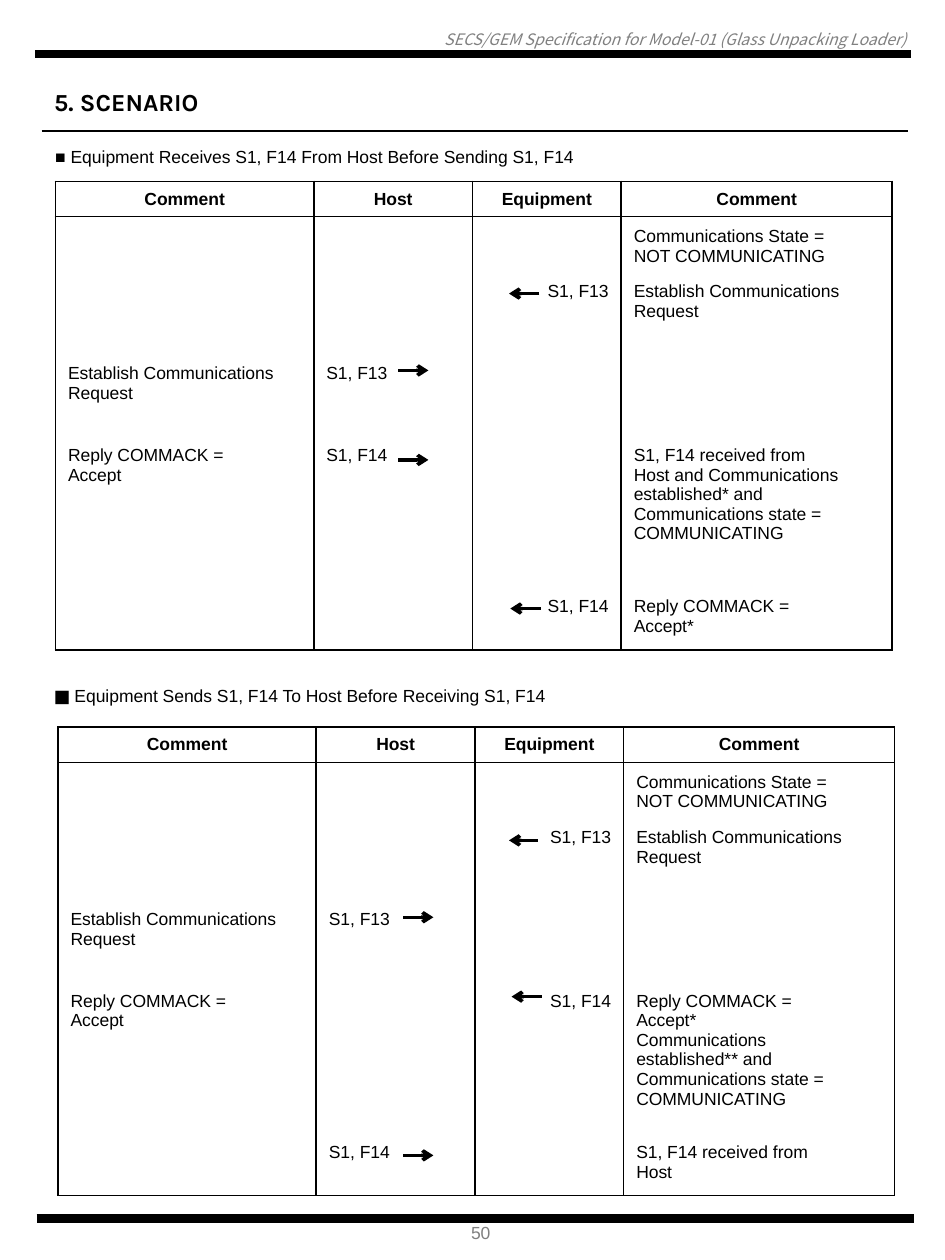
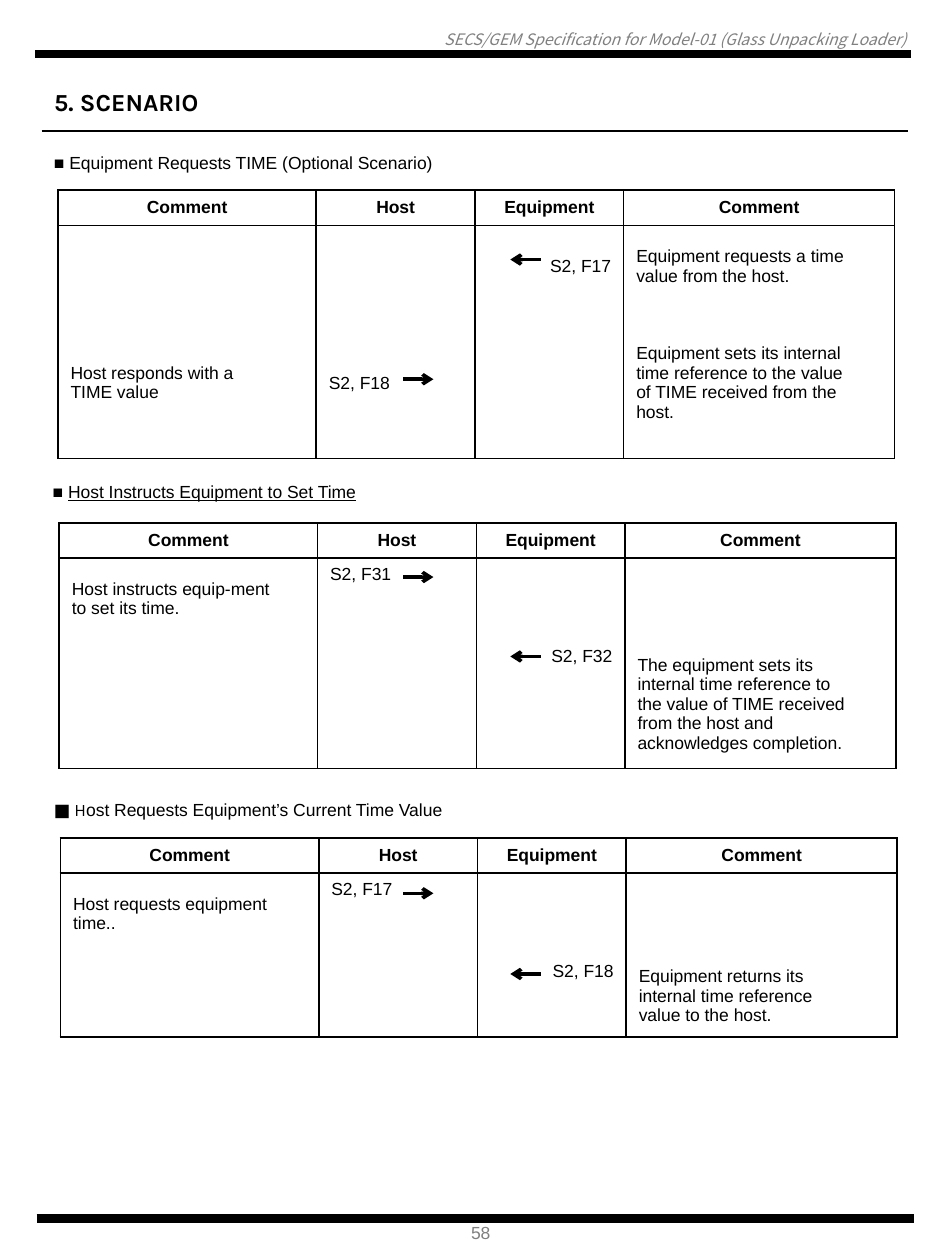
from pptx import Presentation
from pptx.dml.color import RGBColor
from pptx.enum.shapes import MSO_CONNECTOR as CONN
from pptx.enum.text import MSO_ANCHOR as ANCHOR, MSO_AUTO_SIZE as AUTO, PP_ALIGN as ALIGN
from pptx.oxml.ns import qn
from pptx.util import Pt
from lxml import etree

PX = 9144
COLORS = {"ink": "000000", "muted": "808080"}
COLS = [205, 126, 118, 215]
HEADS = ["Comment", "Host", "Equipment", "Comment"]
REQUEST = "Establish Communications\nRequest"
ACCEPT = "Reply COMMACK =\nAccept"
STATE = "Communications State =\nNOT COMMUNICATING"

PAGES = [
    {"number": "50", "scenarios": [
        {"caption": [("■ Equipment Receives S1, F14 From Host Before Sending S1, F14", {})],
         "caption_at": (34, 111), "table_at": (44, 144),
         "heights": [28, 47, 65, 65, 120, 47], "middle": {(1, 3)},
         "rows": [
             ["", "", "", STATE],
             ["", "", "S1, F13", REQUEST],
             [REQUEST, "S1, F13", "", ""],
             [ACCEPT, "S1, F14", "",
              "S1, F14 received from\nHost and Communications\nestablished* and\n"
              "Communications state =\nCOMMUNICATING"],
             ["", "", "S1, F14", ACCEPT + "*"]],
         "arrows": [(428, 404, 233), (316, 340, 294), (316, 340, 365), (429, 405, 483)]},
        {"caption": [("■ ", {"font": "Karla"}),
                     ("Equipment Sends S1, F14 To Host Before Receiving S1, F14", {})],
         "caption_at": (33, 539), "table_at": (46, 577),
         "heights": [28, 47, 65, 65, 120, 47], "middle": {(1, 3)},
         "rows": [
             ["", "", "", STATE],
             ["", "", "S1, F13", REQUEST],
             [REQUEST, "S1, F13", "", ""],
             [ACCEPT, "", "S1, F14",
              ACCEPT + "*\nCommunications\nestablished** and\n"
              "Communications state =\nCOMMUNICATING"],
             ["", "S1, F14", "", "S1, F14 received from\nHost"]],
         "arrows": [(427, 404, 667), (320, 344, 728), (430, 406, 791), (320, 344, 917)]},
    ]},
    {"number": "58", "scenarios": [
        {"caption": [("■ Equipment Requests TIME (Optional Scenario)", {})],
         "caption_at": (33, 116), "table_at": (46, 151),
         "heights": [28, 65, 120], "middle": {(1, 2), (1, 3), (2, 0), (2, 1), (2, 3)},
         "rows": [
             ["", "", "S2, F17", "Equipment requests a time\nvalue from the host."],
             ["Host responds with a\nTIME value", "S2, F18", "",
              "Equipment sets its internal\ntime reference to the value\n"
              "of TIME received from the\nhost."]],
         "arrows": [(429, 405, 206), (320, 344, 301)]},
        {"caption": [("■ ", {}), ("Host Instructs Equipment to Set Time", {"underline": True})],
         "caption_at": (32, 377), "table_at": (47, 415),
         "heights": [28, 65, 102], "middle": {(1, 0), (2, 3)},
         "rows": [
             ["Host instructs equip-ment\nto set its time.", "S2, F31", "", ""],
             ["", "", "S2, F32",
              "The equipment sets its\ninternal time reference to\nthe value of TIME received\n"
              "from the host and\nacknowledges completion."]],
         "arrows": [(320, 344, 458), (429, 405, 521)]},
        {"caption": [("■ H", {"font": "Karla"}),
                     ("ost Requests Equipment’s Current Time Value", {})],
         "caption_at": (33, 629), "table_at": (48, 665),
         "heights": [28, 65, 65], "middle": {(1, 0), (2, 3)},
         "rows": [
             ["Host requests equipment\ntime..", "S2, F17", "", ""],
             ["", "", "S2, F18",
              "Equipment returns its\ninternal time reference\nvalue to the host."]],
         "arrows": [(320, 344, 709), (429, 405, 773)]},
    ]},
]


def write(p, text, size=10, font="Arial", color="ink", bold=False, italic=False,
          underline=None, align=ALIGN.LEFT):
    p.alignment = align
    r = p.add_run()
    r.text = text
    f = r.font
    f.size, f.name, f.bold, f.italic, f.underline = Pt(size), font, bold, italic, underline
    f.color.rgb = RGBColor.from_string(COLORS[color])


def draw_line(slide, x1, x2, y, width, arrow=False):
    s = slide.shapes.add_connector(CONN.STRAIGHT, x1 * PX, y * PX, x2 * PX, y * PX)
    s.line.width = Pt(width)
    s.line.color.rgb = RGBColor.from_string(COLORS["ink"])
    sp_pr = s.element.spPr
    if arrow:
        etree.SubElement(sp_pr.find(qn("a:ln")), qn("a:tailEnd"), type="arrow")
    etree.SubElement(sp_pr, qn("a:effectLst"))
    return s


prs = Presentation()
prs.slide_width, prs.slide_height = 750 * PX, 1000 * PX
layout = prs.slide_layouts[5]
slides = [prs.slides.add_slide(layout) for page in PAGES]

header = slides[0].shapes.add_textbox(5 * PX, 24 * PX, 714 * PX, 15 * PX)
tf = header.text_frame
tf.word_wrap = True
tf.margin_left = tf.margin_right = tf.margin_top = tf.margin_bottom = 0
write(tf.paragraphs[0], "SECS/GEM Specification for Model-01 (Glass Unpacking Loader)",
      size=9, font="Noto Sans CJK KR", color="muted", italic=True, align=ALIGN.RIGHT)
top_band = draw_line(slides[0], 28, 723, 43, 4.75)
bottom_band = draw_line(slides[0], 29, 725, 967, 4.75)
for s in (header, top_band, bottom_band):
    layout.shapes.element.append(s.element)

for slide, page in zip(slides, PAGES):
    title = slide.shapes.title
    title.left, title.top, title.width, title.height = 33 * PX, 64 * PX, 150 * PX, 34 * PX
    tf = title.text_frame
    tf.auto_size = AUTO.NONE
    tf.vertical_anchor = ANCHOR.TOP
    write(tf.paragraphs[0], "5. SCENARIO", size=14, font="Karla", bold=True)
    draw_line(slide, 33, 721, 104, 0.75)

    number = slide.shapes.add_textbox(364 * PX, 965 * PX, 37 * PX, 27 * PX)
    write(number.text_frame.paragraphs[0], page["number"], color="muted")

    for scenario in page["scenarios"]:
        x, y = scenario["caption_at"]
        caption = slide.shapes.add_textbox(x * PX, y * PX, 693 * PX, 27 * PX)
        caption.text_frame.word_wrap = True
        for text, style in scenario["caption"]:
            write(caption.text_frame.paragraphs[0], text, **style)

        x, y = scenario["table_at"]
        heights = scenario["heights"]
        table = slide.shapes.add_table(len(heights), len(COLS), x * PX, y * PX,
                                       sum(COLS) * PX, sum(heights) * PX).table
        table.first_row = table.horz_banding = False
        for column, width in zip(table.columns, COLS):
            column.width = width * PX
        for row, height in zip(table.rows, heights):
            row.height = height * PX

        for i, texts in enumerate([HEADS] + scenario["rows"]):
            edges = "LR"
            if i <= 1:
                edges += "T"
            if i in (0, len(heights) - 1):
                edges += "B"
            for j, text in enumerate(texts):
                cell = table.cell(i, j)
                middle = i == 0 or (i, j) in scenario["middle"]
                cell.vertical_anchor = ANCHOR.MIDDLE if middle else ANCHOR.TOP
                tc_pr = cell._tc.get_or_add_tcPr()
                for edge in "LRTB":
                    ln = etree.SubElement(tc_pr, qn("a:ln" + edge), w=str(Pt(1)))
                    if edge in edges:
                        fill = etree.SubElement(ln, qn("a:solidFill"))
                        etree.SubElement(fill, qn("a:srgbClr"), val=COLORS["ink"])
                    else:
                        etree.SubElement(ln, qn("a:noFill"))
                cell.fill.background()
                if not text:
                    continue
                align = ALIGN.CENTER if i == 0 else ALIGN.RIGHT if j == 2 else ALIGN.LEFT
                tf = cell.text_frame
                for k, part in enumerate(text.split("\n")):
                    p = tf.add_paragraph() if k else tf.paragraphs[0]
                    write(p, part, bold=i == 0, align=align)

        for x1, x2, y in scenario["arrows"]:
            draw_line(slide, x1, x2, y, 2, arrow=True)

prs.save("out.pptx")
